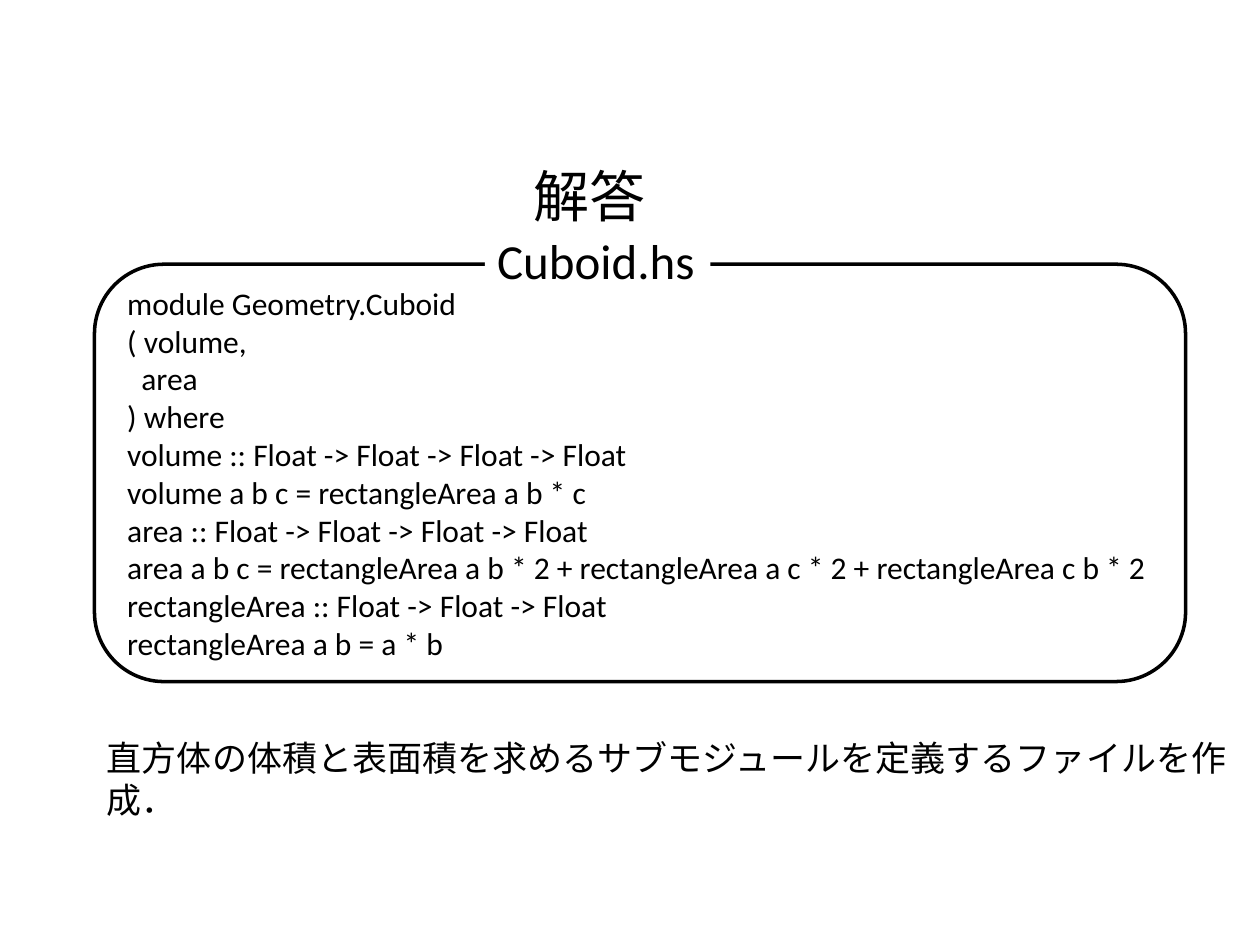
from dataclasses import dataclass

from pptx import Presentation
from pptx.dml.color import RGBColor
from pptx.enum.shapes import MSO_SHAPE
from pptx.enum.text import MSO_ANCHOR, MSO_AUTO_SIZE, PP_ALIGN
from pptx.util import Pt

LEFT = PP_ALIGN.LEFT
TOP, MIDDLE = MSO_ANCHOR.TOP, MSO_ANCHOR.MIDDLE
FIT = MSO_AUTO_SIZE.SHAPE_TO_FIT_TEXT
RECT, ROUND = MSO_SHAPE.RECTANGLE, MSO_SHAPE.ROUNDED_RECTANGLE


@dataclass
class Theme:
    font: str = "Calibri"
    ink: RGBColor = RGBColor(0, 0, 0)
    paper: RGBColor = RGBColor(255, 255, 255)
    title: int = 32
    label: int = 28
    note: int = 20
    code: int = 18


theme = Theme()


def write(shape, text, size, anchor=TOP, wrap=True):
    frame = shape.text_frame
    frame.text = text
    frame.word_wrap = wrap
    frame.vertical_anchor = anchor
    for para in frame.paragraphs:
        para.alignment = LEFT
        for run in para.runs:
            run.font.name = theme.font
            run.font.size = Pt(size)
            run.font.color.rgb = theme.ink


def panel(kind, left, top, width, height):
    shape = slide.shapes.add_shape(kind, Pt(left), Pt(top), Pt(width), Pt(height))
    shape.shadow.inherit = False
    shape.fill.solid()
    shape.fill.fore_color.rgb = theme.paper
    shape.line.fill.background()
    return shape


deck = Presentation()
deck.slide_width, deck.slide_height = Pt(720), Pt(540)
slide = deck.slides.add_slide(deck.slide_layouts[5])

# Title
title = slide.shapes.title
title.left, title.top, title.width, title.height = Pt(297.5), Pt(88.5), Pt(160.5), Pt(46)
write(title, "解答", theme.title)

# Code listing
code = """module Geometry.Cuboid
( volume,
  area
) where
volume :: Float -> Float -> Float -> Float
volume a b c = rectangleArea a b * c
area :: Float -> Float -> Float -> Float
area a b c = rectangleArea a b * 2 + rectangleArea a c * 2 + rectangleArea c b * 2
rectangleArea :: Float -> Float -> Float
rectangleArea a b = a * b"""
box = panel(ROUND, 54, 151, 623.5, 238.5)
box.line.color.rgb = theme.ink
box.line.width = Pt(2)
write(box, code, theme.code, MIDDLE)

# File name set into the frame
label = panel(RECT, 277, 128, 129, 41)
write(label, "Cuboid.hs", theme.label, wrap=False)
label.text_frame.auto_size = FIT

# Note below the code
note = slide.shapes.add_textbox(Pt(54), Pt(417.5), Pt(671), Pt(31.5))
write(note, "直方体の体積と表面積を求めるサブモジュールを定義するファイルを作成．", theme.note)

deck.save("out.pptx")
